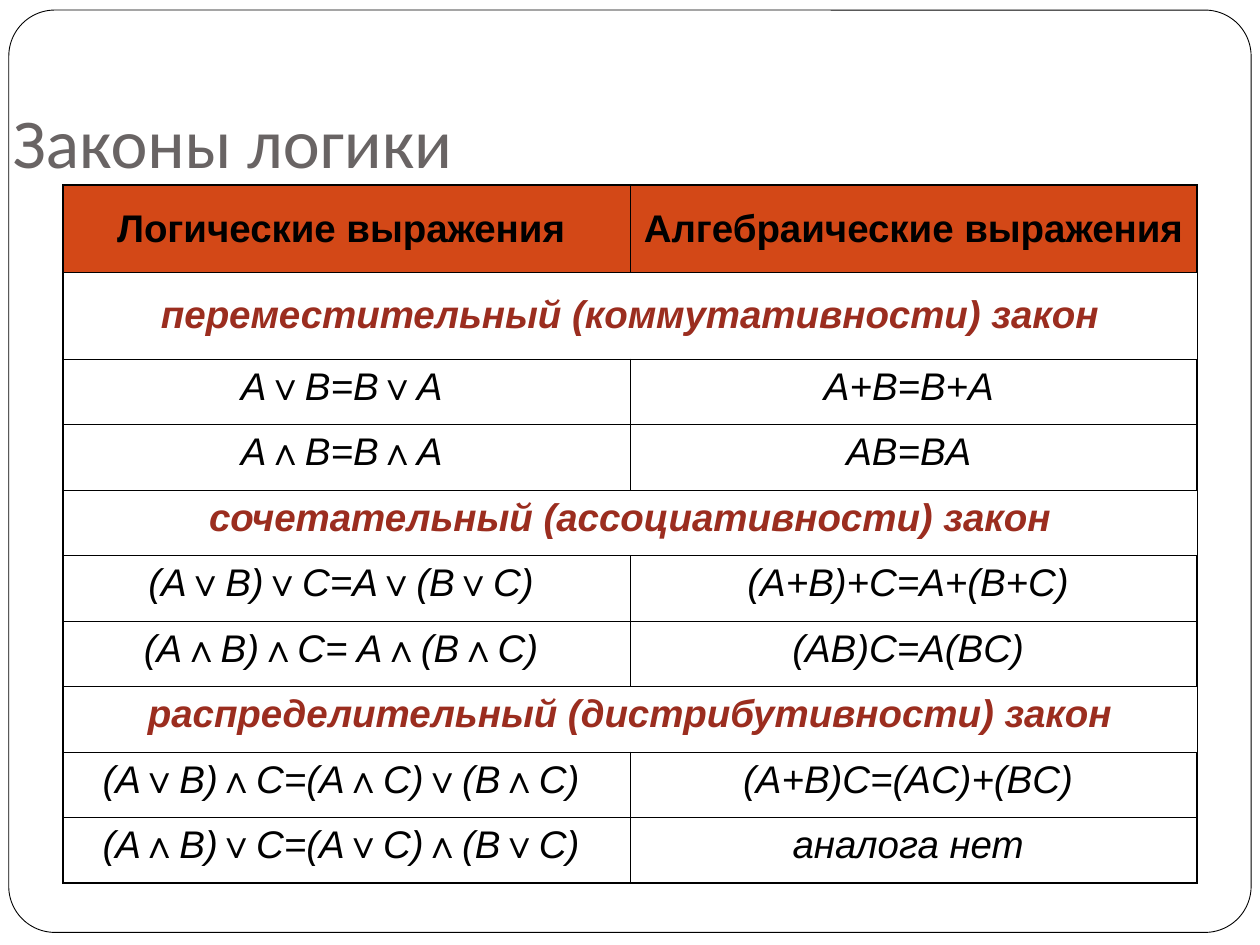
import pptx
import pptx.util
import pptx.dml.color
import pptx.enum.shapes
import pptx.enum.text
import pptx.oxml
import pptx.oxml.ns

Inches = pptx.util.Inches
Pt = pptx.util.Pt
Anchor = pptx.enum.text.MSO_ANCHOR

HEAD = ("Логические выражения ", "Алгебраические выражения ")
LAWS = [
    ("переместительный (коммутативности) закон", [
        ("A∨B=B∨A ", "A+B=B+A "),
        ("A∧B=B∧A ", "AB=BA ")]),
    ("сочетательный (ассоциативности) закон", [
        ("(A∨B)∨C=A∨(B∨C) ", "(A+B)+C=A+(B+C) "),
        ("(A∧B)∧C= A∧(B∧C) ", "(AB)C=A(BC) ")]),
    ("распределительный (дистрибутивности) закон", [
        ("(A∨B)∧C=(A∧C)∨(B∧C) ", "(A+B)C=(AC)+(BC) "),
        ("(A∧B)∨C=(A∨C)∧(B∨C) ", "аналога нет ")]),
]


def color(text):
    """Turn a hex string into a colour."""
    return pptx.dml.color.RGBColor.from_string(text)


class Deck:
    """Hold the style and the current slide."""
    ink, gray, red, fill, paper = "000000", "696464", "9B2D1F", "D34817", "FFFFFF"
    thin, thick = 0.45, 1.08

    def __init__(self):
        """Start a deck with one title-only slide."""
        self.file = pptx.Presentation()
        self.file.slide_width, self.file.slide_height = Inches(10), Inches(7.5)
        self.slide = self.file.slides.add_slide(self.file.slide_layouts[5])

    def font(self, para, name, size, tint, bold=False, italic=False):
        """Format every run of a paragraph."""
        for run in para.runs:
            font = run.font
            font.name, font.size = name, Pt(size)
            font.bold, font.italic = bold, italic
            font.color.rgb = color(tint)

    def frame(self, left, top, width, height):
        """Draw the rounded page frame behind everything."""
        shape = self.slide.shapes.add_shape(
            pptx.enum.shapes.MSO_SHAPE.ROUNDED_RECTANGLE,
            Inches(left), Inches(top), Inches(width), Inches(height))
        shape.adjustments[0] = 0.05
        shape.shadow.inherit = False
        shape.fill.solid()
        shape.fill.fore_color.rgb = color(self.paper)
        shape.line.color.rgb = color(self.ink)
        shape.line.width = Pt(0.5)
        self.slide.shapes.element.insert(2, shape.element)

    def title(self, text, left, top, width, height):
        """Place and format the title."""
        shape = self.slide.shapes.title
        shape.left, shape.top = Inches(left), Inches(top)
        shape.width, shape.height = Inches(width), Inches(height)
        box = shape.text_frame
        box.text = text
        box.word_wrap = True
        box.auto_size = pptx.enum.text.MSO_AUTO_SIZE.NONE
        box.vertical_anchor = Anchor.BOTTOM
        box.margin_bottom = Inches(0.1)
        box.paragraphs[0].alignment = pptx.enum.text.PP_ALIGN.LEFT
        self.font(box.paragraphs[0], "Calibri", 40, self.gray)

    def edge(self, cell, side, width):
        """Draw one border of a cell."""
        cell._tc.get_or_add_tcPr().append(pptx.oxml.parse_xml(
            f'<a:ln{side} {pptx.oxml.ns.nsdecls("a")} w="{Pt(width)}">'
            f'<a:solidFill><a:srgbClr val="{self.ink}"/></a:solidFill></a:ln{side}>'))

    def cell(self, cell, text, tint, fill=None, bold=False, italic=True, mid=False):
        """Fill and format one cell."""
        if fill:
            cell.fill.solid()
            cell.fill.fore_color.rgb = color(fill)
        else:
            cell.fill.background()
        cell.vertical_anchor = Anchor.MIDDLE if mid else Anchor.TOP
        para = cell.text_frame.paragraphs[0]
        para.text = text
        para.alignment = pptx.enum.text.PP_ALIGN.CENTER
        para.space_before = Pt(5.5)
        self.font(para, "Arial", 22, tint, bold, italic)

    def table(self, left, top, width, heights):
        """Add a two-column table with a thick outer border."""
        table = self.slide.shapes.add_table(
            len(heights), 2, Inches(left), Inches(top),
            Inches(width), Inches(sum(heights))).table
        table.horz_banding = False
        last = len(heights) - 1
        for row, height in enumerate(heights):
            table.rows[row].height = Inches(height)
            for col in range(2):
                outer = {"L": col == 0, "R": col == 1, "T": row == 0, "B": row == last}
                for side, wide in outer.items():
                    self.edge(table.cell(row, col), side, self.thick if wide else self.thin)
        return table


def main():
    """Build the slide."""
    deck = Deck()
    deck.frame(0.07, 0.08, 9.86, 7.32)
    deck.title("Законы логики", 0, 0.5, 8.49, 1.05)
    table = deck.table(0.5, 1.47, 9, [0.69] * 2 + [0.52] * 8)
    for col, text in enumerate(HEAD):
        deck.cell(table.cell(0, col), text, deck.ink, deck.fill, True, False, True)
    row = 1
    for name, pairs in LAWS:
        table.cell(row, 0).merge(table.cell(row, 1))
        deck.cell(table.cell(row, 0), name, deck.red, bold=True, mid=row == 1)
        for row, pair in enumerate(pairs, row + 1):
            for col, text in enumerate(pair):
                deck.cell(table.cell(row, col), text, deck.ink)
        row += 1
    deck.file.save("out.pptx")


if __name__ == "__main__":
    main()
